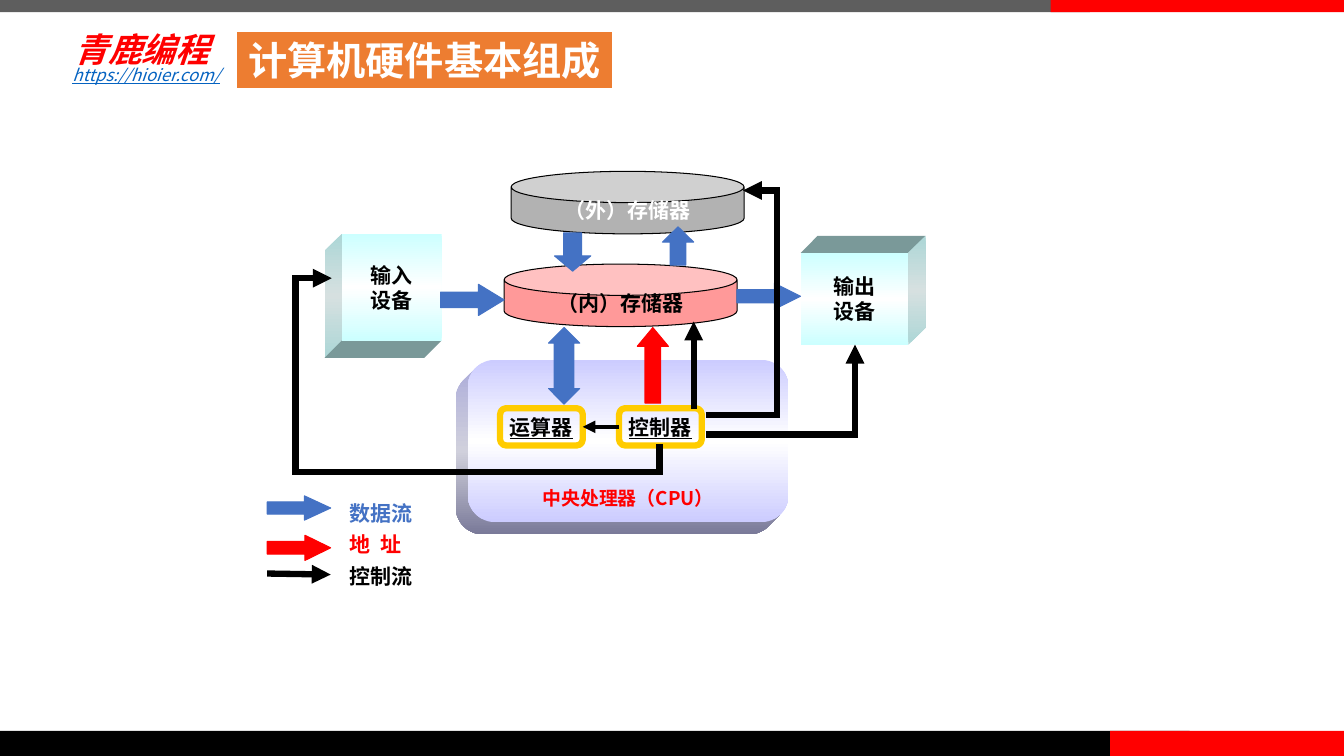
import math
from lxml import etree
from pptx import Presentation
from pptx.dml.color import RGBColor
from pptx.enum import shapes, text
from pptx.oxml import ns
from pptx.util import Inches, Pt

BLACK = RGBColor(0, 0, 0)
WHITE = RGBColor(255, 255, 255)
RED = RGBColor(255, 0, 0)
BLUE = RGBColor(0x44, 0x72, 0xC4)
LINK = RGBColor(0x05, 0x63, 0xC1)
ORANGE = RGBColor(0xED, 0x7D, 0x31)
GOLD = RGBColor(0xFF, 0xCC, 0)
DARK_GRAY = RGBColor(0x5E, 0x5E, 0x5E)
GRAY = RGBColor(0xB2, 0xB2, 0xB2)
PINK = RGBColor(0xFF, 0x99, 0x99)
CYAN = RGBColor(0xCC, 0xFF, 0xFF)
CYAN_SIDE = RGBColor(0xAC, 0xD6, 0xD6)
CYAN_MIDDLE = RGBColor(0xD6, 0xE0, 0xE0)
TEAL = RGBColor(0x7A, 0x99, 0x99)
LILAC = RGBColor(0xCC, 0xCC, 0xFF)
LILAC_SIDE = RGBColor(0xAE, 0xAE, 0xDA)
LILAC_MIDDLE = RGBColor(0xD0, 0xD0, 0xDC)
LILAC_DARK = RGBColor(0x7A, 0x7A, 0x99)
SANS = "Noto Sans CJK SC"
KIND = shapes.MSO_SHAPE


def paint(shape, fill=None, line=None, width=0.75):
    shape.shadow.inherit = False
    if fill is None:
        shape.fill.background()
    elif isinstance(fill, tuple) and not isinstance(fill, RGBColor):
        shape.fill.gradient()
        shape.fill.gradient_angle = 270
        stops = shape._element.spPr.find(".//" + ns.qn("a:gsLst"))
        for stop in list(stops):
            stops.remove(stop)
        for index, colour in enumerate(fill):
            stop = etree.SubElement(stops, ns.qn("a:gs"), pos=str(index * 50000))
            etree.SubElement(stop, ns.qn("a:srgbClr"), val=str(colour))
    else:
        shape.fill.solid()
        shape.fill.fore_color.rgb = fill
    if line is None:
        shape.line.fill.background()
    else:
        shape.line.color.rgb = line
        shape.line.width = Pt(width)


def write(shape, words, size, colour, align=text.PP_ALIGN.CENTER,
          anchor=text.MSO_ANCHOR.MIDDLE, font=SANS, bold=True):
    frame = shape.text_frame
    frame.text = words
    frame.word_wrap = False
    frame.vertical_anchor = anchor
    for para in frame.paragraphs:
        para.alignment = align
        for span in para.runs:
            span.font.size = Pt(size)
            span.font.bold = bold
            span.font.color.rgb = colour
            span.font.name = font
            etree.SubElement(span.font._element, ns.qn("a:ea"), typeface=SANS)
    return frame


LEFT = text.PP_ALIGN.LEFT
TOP = text.MSO_ANCHOR.TOP
deck = Presentation()
deck.slide_width = Inches(13.33)
deck.slide_height = Inches(7.5)
page = deck.slides.add_slide(deck.slide_layouts[6])

for left, top, width, height, colour in [
    (0, 0, 10.81, 0.12, DARK_GRAY), (0, 7.25, 11.8, 0.25, BLACK),
    (11.01, 7.25, 2.32, 0.25, RED), (10.42, 0, 2.91, 0.12, RED),
]:
    bar = page.shapes.add_shape(KIND.RECTANGLE, Inches(left), Inches(top), Inches(width), Inches(height))
    paint(bar, colour)

school = page.shapes.add_textbox(Inches(0.68), Inches(0.23), Inches(1.85), Inches(0.52))
frame = write(school, "青鹿编程", 24, RED, LEFT, font="Calibri")
frame.margin_left = frame.margin_right = Inches(0.06)
frame.paragraphs[0].runs[0].font.italic = True
address = page.shapes.add_textbox(Inches(0.62), Inches(0.59), Inches(6.67), Inches(0.3))
frame = write(address, "https://hioier.com/", 12, LINK, LEFT, TOP, bold=False)
frame.paragraphs[0].runs[0].font.italic = True
frame.paragraphs[0].runs[0].font.underline = True

legend = page.shapes.add_textbox(Inches(3.39), Inches(4.86), Inches(1), Inches(1.02))
frame = write(legend, "数据流\n地 址\n控制流", 15, BLACK, LEFT, TOP)
frame.word_wrap = True
frame.margin_left = frame.margin_right = Inches(0.08)
frame.margin_top = frame.margin_bottom = Inches(0.04)
for para, colour in zip(frame.paragraphs, (BLUE, RED, BLACK)):
    para.line_spacing = 1.25
    para.runs[0].font.color.rgb = colour
frame.paragraphs[1].runs[0].font._element.set("spc", "170")

for words, left, top, fill, colour in [
    ("（外）存储器", 5.07, 1.7, GRAY, WHITE), ("（内）存储器", 5, 2.62, PINK, BLACK),
]:
    memory = page.shapes.add_shape(KIND.CAN, Inches(left), Inches(top), Inches(2.31), Inches(0.62))
    memory.adjustments[0] = 0.5
    paint(memory, fill, BLACK)
    write(memory, words, 15, colour)

cpu_left, cpu_top, cpu_right, cpu_bottom, radius, depth = 4.64, 3.57, 7.82, 5.18, 0.27, 0.12
edge = []
for x, y, start, end, shift in [
    (cpu_left + radius, cpu_top + radius, 225, 225, 0),
    (cpu_left + radius, cpu_top + radius, 225, 180, depth),
    (cpu_left + radius, cpu_bottom - radius, 180, 90, depth),
    (cpu_right - radius, cpu_bottom - radius, 90, 45, depth),
    (cpu_right - radius, cpu_bottom - radius, 45, 45, 0),
]:
    for degrees in range(start, end - 1, -9):
        angle = math.radians(degrees)
        edge.append((x - shift + radius * math.cos(angle), y + shift + radius * math.sin(angle)))
cpu_side = (LILAC_SIDE, LILAC_MIDDLE, LILAC_DARK)
input_side = [(3.39, 2.32), (3.22, 2.49), (3.22, 3.55), (3.39, 3.38)]
input_base = [(3.39, 3.38), (4.38, 3.38), (4.21, 3.55), (3.22, 3.55)]
output_top = [(7.94, 2.51), (8.11, 2.34), (9.18, 2.34), (9.01, 2.51)]
output_side = [(9.01, 2.51), (9.18, 2.34), (9.18, 3.25), (9.01, 3.42)]
cyan_side = (CYAN_SIDE, CYAN_MIDDLE, CYAN_SIDE)
for points, fill in [
    (edge, cpu_side), (input_side, cyan_side), (input_base, TEAL),
    (output_top, TEAL), (output_side, cyan_side),
]:
    builder = page.shapes.build_freeform(Inches(points[0][0]), Inches(points[0][1]))
    builder.add_line_segments([(Inches(x), Inches(y)) for x, y in points[1:]])
    paint(builder.convert_to_shape(), fill)

cpu = page.shapes.add_shape(KIND.ROUNDED_RECTANGLE, Inches(cpu_left), Inches(cpu_top),
                            Inches(cpu_right - cpu_left), Inches(cpu_bottom - cpu_top))
paint(cpu, (LILAC, WHITE, LILAC))
write(cpu, "中央处理器（CPU）", 13.5, RED, anchor=text.MSO_ANCHOR.BOTTOM)

for words, left, top, width, height in [
    ("输入\n设备", 3.39, 2.32, 0.99, 1.06), ("输出\n设备", 7.94, 2.51, 1.07, 0.91),
]:
    device = page.shapes.add_shape(KIND.RECTANGLE, Inches(left), Inches(top), Inches(width), Inches(height))
    paint(device, (CYAN, WHITE, CYAN))
    write(device, words, 15, BLACK)

units = []
for words, left in [("控制器", 6.14), ("运算器", 4.96)]:
    unit = page.shapes.add_shape(KIND.ROUNDED_RECTANGLE, Inches(left), Inches(4.05), Inches(0.82), Inches(0.37))
    paint(unit, None, GOLD, 4.5)
    frame = write(unit, words, 15, BLACK, LEFT, TOP)
    frame.margin_left = frame.margin_right = Inches(0.08)
    frame.margin_top = frame.margin_bottom = Inches(0.04)
    frame.paragraphs[0].runs[0].font.underline = True
    units.append(unit)
controller, calculator = units

for kind, left, top, width, height, head, colour in [
    (KIND.RIGHT_ARROW, 2.65, 4.92, 0.63, 0.24, 1.08, BLUE),
    (KIND.RIGHT_ARROW, 2.65, 5.31, 0.63, 0.25, 1.02, RED),
    (KIND.RIGHT_ARROW, 7.31, 2.81, 0.63, 0.26, 1, BLUE),
    (KIND.RIGHT_ARROW, 4.37, 2.82, 0.63, 0.31, 0.82, BLUE),
    (KIND.DOWN_ARROW, 5.5, 2.31, 0.36, 0.38, 0.42, BLUE),
    (KIND.UP_ARROW, 6.57, 2.25, 0.31, 0.38, 0.49, BLUE),
    (KIND.UP_DOWN_ARROW, 5.44, 3.25, 0.31, 0.76, 0.63, BLUE),
    (KIND.UP_ARROW, 6.32, 3.25, 0.31, 0.75, 0.6, RED),
]:
    arrow = page.shapes.add_shape(kind, Inches(left), Inches(top), Inches(width), Inches(height))
    arrow.adjustments[0] = 0.5
    arrow.adjustments[1] = head
    paint(arrow, colour, colour)

STRAIGHT = shapes.MSO_CONNECTOR.STRAIGHT
ELBOW = shapes.MSO_CONNECTOR.ELBOW
for kind, x1, y1, x2, y2, preset, turn, bends, weight in [
    (STRAIGHT, 2.65, 5.69, 3.28, 5.7, "line", 0, [], 4.5),
    (ELBOW, 4.09, 5.21, 5.74, 1.96, "bentConnector4", 270, [-16600, 111100], 4.5),
    (ELBOW, 7, 4.31, 8.48, 3.42, "bentConnector2", 0, [], 4.5),
    (ELBOW, 7, 4.12, 7.37, 1.89, "bentConnector3", 0, [190600], 4.5),
    (STRAIGHT, 6.88, 4.06, 6.88, 3.19, "line", 0, [], 4.5),
    (STRAIGHT, 6.14, 4.24, 5.78, 4.24, "line", 0, [], 3),
]:
    flow = page.shapes.add_connector(kind, Inches(x1), Inches(y1), Inches(x2), Inches(y2))
    flow.line.color.rgb = BLACK
    flow.line.width = Pt(weight)
    properties = flow._element.spPr
    if turn:
        properties.find(ns.qn("a:xfrm")).set("rot", str(turn * 60000))
    geometry = properties.find(ns.qn("a:prstGeom"))
    geometry.set("prst", preset)
    for number, bend in enumerate(bends, 1):
        etree.SubElement(geometry.find(ns.qn("a:avLst")), ns.qn("a:gd"), name=f"adj{number}", fmla=f"val {bend}")
    outline = properties.find(ns.qn("a:ln"))
    etree.SubElement(outline, ns.qn("a:miter"), lim="800000")
    etree.SubElement(outline, ns.qn("a:tailEnd"), type="triangle")
    etree.SubElement(properties, ns.qn("a:effectLst"))
flow.begin_connect(controller, 1)
flow.end_connect(calculator, 3)

title = page.shapes.add_shape(KIND.RECTANGLE, Inches(2.34), Inches(0.31), Inches(3.74), Inches(0.57))
paint(title, ORANGE, WHITE, 1.5)
write(title, "计算机硬件基本组成", 28, WHITE, anchor=TOP)

deck.save("out.pptx")
